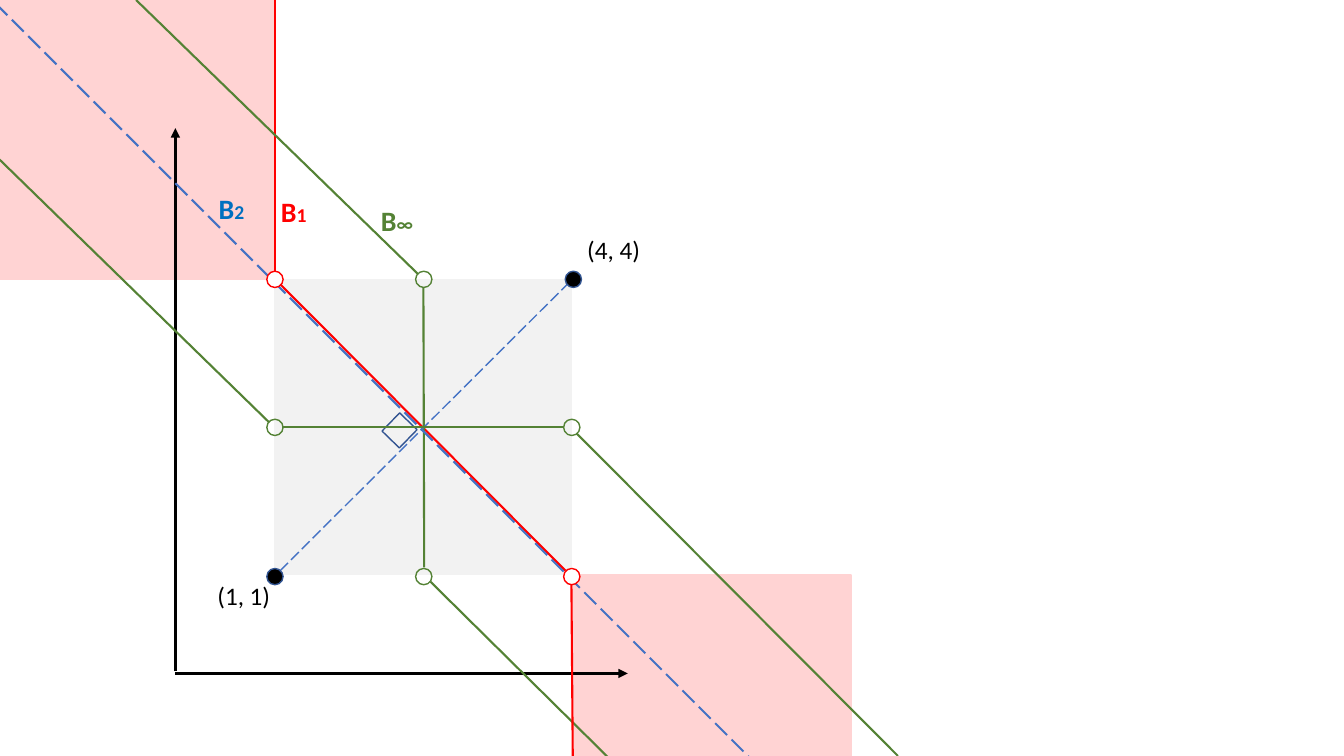
from lxml import etree
from pptx import Presentation
from pptx.dml.color import RGBColor
from pptx.enum.dml import MSO_LINE
from pptx.enum.shapes import MSO_CONNECTOR, MSO_SHAPE
from pptx.enum.text import MSO_AUTO_SIZE
from pptx.oxml.ns import qn
from pptx.util import Cm, Pt

STRAIGHT = MSO_CONNECTOR.STRAIGHT
RECTANGLE = MSO_SHAPE.RECTANGLE
OVAL = MSO_SHAPE.OVAL
LONG_DASH = MSO_LINE.LONG_DASH
FIT_SHAPE = MSO_AUTO_SIZE.SHAPE_TO_FIT_TEXT

FONT = "Calibri"
COLORS = {
    "black": "000000", "white": "FFFFFF", "pink": "FFD3D3", "gray": "F2F2F2",
    "red": "FF0000", "green": "548235", "blue": "4472C4", "navy": "325491",
    "label blue": "0070C0",
}
# Centre lines of the square between the two points, in centimetres
LEFT, MIDDLE, RIGHT = 6.93, 10.68, 14.41
TOP, CENTER, BOTTOM = 7.04, 10.77, 14.53
DOT = 0.41


def rgb(name):
    return RGBColor.from_string(COLORS[name])


def add_outlined(page, kind, place, fill, line, width=1):
    """Add a preset shape; a fill of None leaves it hollow."""
    shape = page.shapes.add_shape(kind, *map(Cm, place))
    shape.shadow.inherit = False
    if fill:
        shape.fill.solid()
        shape.fill.fore_color.rgb = rgb(fill)
    else:
        shape.fill.background()
    shape.line.color.rgb = rgb(line)
    shape.line.width = Pt(width)
    return shape


def add_dot(page, x, y, fill, line):
    add_outlined(page, OVAL, (x - DOT / 2, y - DOT / 2, DOT, DOT), fill, line)


def add_line(page, ends, color, width=1.5, dash=None, arrow=False):
    connector = page.shapes.add_connector(STRAIGHT, *map(Cm, ends))
    connector.line.color.rgb = rgb(color)
    connector.line.width = Pt(width)
    if dash:
        connector.line.dash_style = dash
    properties = connector._element.spPr
    if arrow:
        etree.SubElement(properties.find(qn("a:ln")), qn("a:tailEnd"), type="triangle")
    etree.SubElement(properties, qn("a:effectLst"))


def add_label(page, place, spans, color, bold=False):
    """Add a one-line label from (text, size) pairs."""
    box = page.shapes.add_textbox(*map(Cm, place))
    frame = box.text_frame
    frame.word_wrap = True
    frame.auto_size = FIT_SHAPE
    para = frame.paragraphs[0]
    para.font.name = FONT
    para.font.bold = bold
    para.font.color.rgb = rgb(color)
    for text, size in spans:
        span = para.add_run()
        span.text = text
        span.font.size = Pt(size)


def add_regions_and_axes(page):
    for x, y in ((14.43, 14.5), (-0.08, 0)):
        add_outlined(page, RECTANGLE, (x, y, 7.01, 7.04), "pink", "pink", 1.5)
    add_outlined(page, RECTANGLE, (LEFT, 7.06, 7.47, 7.42), "gray", "gray")
    for ends in ((4.42, 16.92, 4.42, 3.23), (4.42, 16.97, 15.82, 16.97)):
        add_line(page, ends, "black", 2.25, arrow=True)


def add_bisectors(page):
    for ends in ((7.06, 7.16, 14.25, 14.38), (LEFT, -0.05, LEFT, 6.83)):
        add_line(page, ends, "red")
    for ends in ((10.69, 14.3, 10.67, 7.26), (10.54, 6.91, 3.43, 0),
                 (17.04, 20.78, 10.85, 14.66)):
        add_line(page, ends, "green")
    add_line(page, (7.06, 14.38, 14.3, 7.16), "blue", 1, LONG_DASH)
    add_line(page, (19.56, 19.76, -0.25, -0.05), "blue", 1.5, LONG_DASH)
    right_angle = add_outlined(page, RECTANGLE, (9.75, 10.54, 0.64, 0.61), None, "navy")
    right_angle.rotation = 314.2
    add_line(page, (14.4, 14.71, 14.45, 21.11), "red")
    for ends in ((7.11, CENTER, 14.2, CENTER), (14.53, 10.92, 22.63, 19.05),
                 (-2.26, 1.83, 6.78, 10.64)):
        add_line(page, ends, "green")


def add_dots(page):
    for x, y in ((LEFT, BOTTOM), (RIGHT + 0.04, TOP)):
        add_dot(page, x, y, "black", "navy")
    for x, y in ((LEFT, TOP), (RIGHT, BOTTOM)):
        add_dot(page, x, y, "white", "red")
    for x, y in ((MIDDLE, BOTTOM), (MIDDLE, TOP), (LEFT, CENTER), (RIGHT, CENTER)):
        add_dot(page, x, y, None, "green")


def add_labels(page):
    for text, x, y in (("(1, 1)", 5.23, 14.5), ("(4, 4)", 14.55, 5.79)):
        add_label(page, (x, y, 2.39, 1.02), [(text, 18)], "black")
    for norm, x, y, color in (("1", 6.83, 4.78, "red"), ("∞", 9.35, 5.0, "green"),
                              ("2", 5.26, 4.7, "label blue")):
        add_label(page, (x, y, 1.57, 1.12), [("B", 20), (norm, 14)], color, bold=True)


def main():
    deck = Presentation()
    deck.slide_width, deck.slide_height = Cm(33.87), Cm(19.05)
    page = deck.slides.add_slide(deck.slide_layouts[6])
    add_regions_and_axes(page)
    add_bisectors(page)
    add_dots(page)
    add_labels(page)
    deck.save("out.pptx")


if __name__ == "__main__":
    main()
